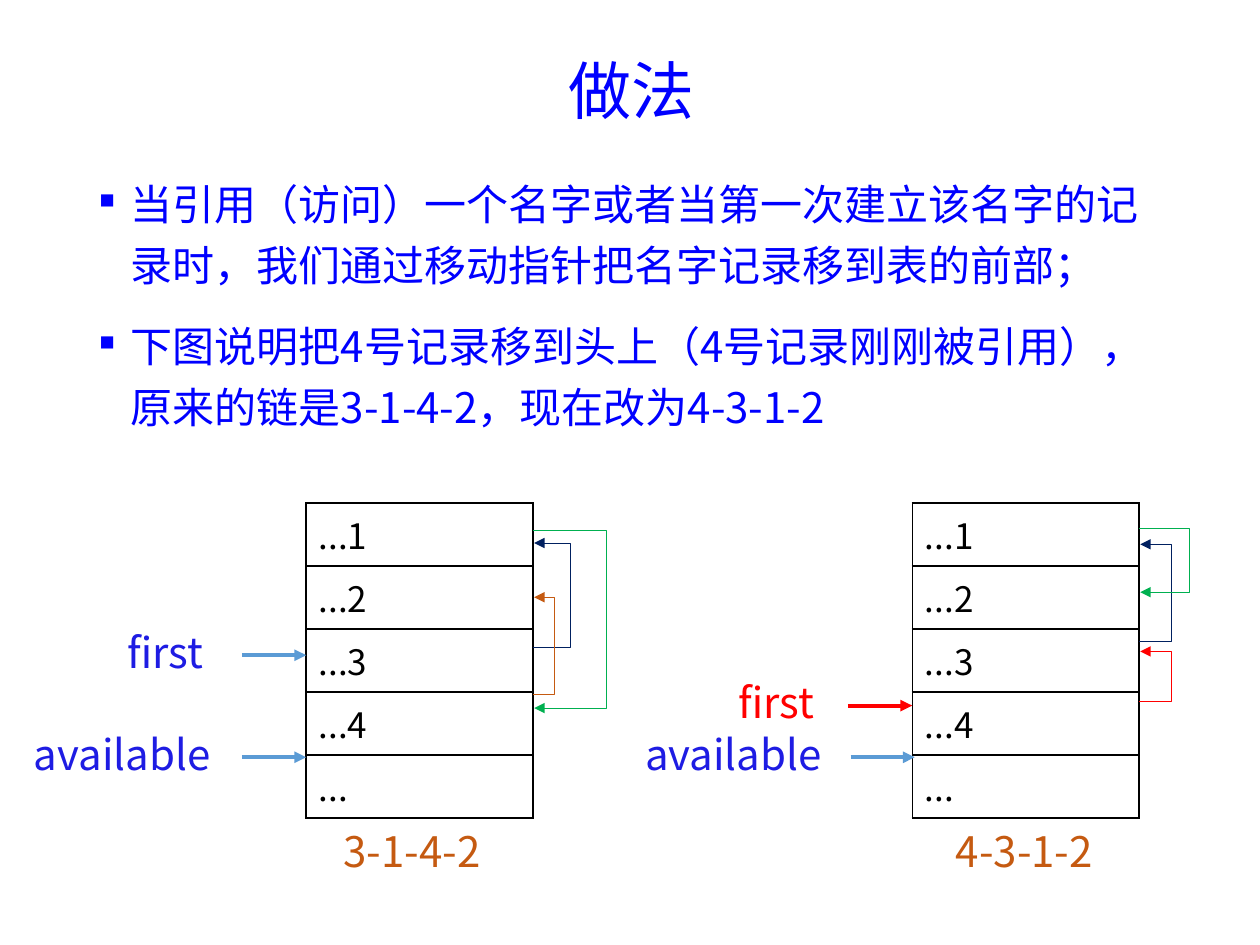
import pptx
import pptx.util
import pptx.dml.color
import pptx.enum.text
import pptx.enum.shapes
import pptx.oxml
import pptx.oxml.ns
from lxml import etree

Inches, Pt = pptx.util.Inches, pptx.util.Pt
RGBColor = pptx.dml.color.RGBColor
PP_ALIGN = pptx.enum.text.PP_ALIGN
MIDDLE = pptx.enum.text.MSO_ANCHOR.MIDDLE
qn = pptx.oxml.ns.qn

BLUE = RGBColor(0x00, 0x00, 0xFF)
LABEL_BLUE = RGBColor(0x1E, 0x1C, 0xE3)
ARROW_BLUE = RGBColor(0x5B, 0x9B, 0xD5)
NAVY = RGBColor(0x00, 0x20, 0x60)
ORANGE = RGBColor(0xC5, 0x5A, 0x11)
GREEN = RGBColor(0x00, 0xB0, 0x50)
RED = RGBColor(0xFF, 0x00, 0x00)
BLACK = RGBColor(0x00, 0x00, 0x00)
TITLE_FONT = "Noto Sans CJK JP"
FONT = "Noto Sans CJK SC"

# Content
TITLE = "做法"
BULLETS = [
    "当引用（访问）一个名字或者当第一次建立该名字的记录时，我们通过移动指针把名字记录移到表的前部；",
    "下图说明把4号记录移到头上（4号记录刚刚被引用），原来的链是3-1-4-2，现在改为4-3-1-2",
]
RECORDS = ["...1", "...2", "...3", "...4", "..."]
TABLE_TOP, TABLE_WIDTH, ROW_HEIGHT = 3.99, 1.8, 0.5
POINTER_LENGTH = 0.51

# Pointers: text, label centre x, y, tip x, label colour, arrow colour
# Links: start y, end y, reach right of the table, colour
DIAGRAMS = [
    {"left": 2.43, "chain": "3-1-4-2", "chain_center": 3.27,
     "pointers": [("first", 1.31, 5.2, 2.43, LABEL_BLUE, ARROW_BLUE),
                  ("available", 0.97, 6.01, 2.43, LABEL_BLUE, ARROW_BLUE)],
     "links": [(5.14, 4.31, 0.3, NAVY),
               (5.51, 4.74, 0.17, ORANGE),
               (4.21, 5.62, 0.58, GREEN)]},
    {"left": 7.24, "chain": "4-3-1-2", "chain_center": 8.13,
     "pointers": [("first", 6.16, 5.6, 7.24, RED, RED),
                  ("available", 5.82, 6.01, 7.26, LABEL_BLUE, ARROW_BLUE)],
     "links": [(5.57, 5.17, 0.26, RED),
               (5.09, 4.32, 0.26, NAVY),
               (4.19, 4.7, 0.4, GREEN)]},
]


def style_paragraph(para, size, color, font=FONT):
    para.font.size = Pt(size)
    para.font.color.rgb = color
    para.font.name = font
    east_asian = etree.SubElement(para.font._element if hasattr(para.font, "_element")
                                  else para.font._rPr, qn("a:ea"))
    east_asian.set("typeface", font)


def style_line(shape, color, width):
    shape.line.color.rgb = color
    shape.line.width = Pt(width)
    end = etree.SubElement(shape.line._get_or_add_ln(), qn("a:tailEnd"))
    end.set("type", "triangle")


def add_label(page, text, center, middle, color):
    width, height = 1.8, 0.5
    box = page.shapes.add_textbox(Inches(center - width / 2), Inches(middle - height / 2),
                                  Inches(width), Inches(height))
    box.text_frame.word_wrap = True
    box.text_frame.vertical_anchor = MIDDLE
    para = box.text_frame.paragraphs[0]
    para.text = text
    para.alignment = PP_ALIGN.CENTER
    style_paragraph(para, 24, color)


def add_pointer(page, text, center, y, tip, label_color, arrow_color):
    add_label(page, text, center, y - 0.03, label_color)
    arrow = page.shapes.add_connector(
        pptx.enum.shapes.MSO_CONNECTOR.STRAIGHT,
        Inches(tip - POINTER_LENGTH), Inches(y), Inches(tip), Inches(y))
    style_line(arrow, arrow_color, 2.25)
    etree.SubElement(arrow._element.spPr, qn("a:effectLst"))


def add_link(page, edge, start, end, reach, color):
    builder = page.shapes.build_freeform(Inches(edge), Inches(start), scale=1.0)
    builder.add_line_segments(
        [(Inches(edge + reach), Inches(start)), (Inches(edge + reach), Inches(end)),
         (Inches(edge + 0.01), Inches(end))], close=False)
    link = builder.convert_to_shape()
    link.fill.background()
    style_line(link, color, 0.5)
    link.shadow.inherit = False


def add_border(cell):
    properties = cell._tc.get_or_add_tcPr()
    for position, side in enumerate(("lnL", "lnR", "lnT", "lnB")):
        properties.insert(position, pptx.oxml.parse_xml(
            f'<a:{side} {pptx.oxml.ns.nsdecls("a")} w="12700"><a:solidFill>'
            f'<a:srgbClr val="{BLACK}"/></a:solidFill></a:{side}>'))


def add_record_table(page, left):
    table = page.shapes.add_table(
        len(RECORDS), 1, Inches(left), Inches(TABLE_TOP),
        Inches(TABLE_WIDTH), Inches(ROW_HEIGHT * len(RECORDS))).table
    table.first_row = False
    table.horz_banding = False
    for row, record in enumerate(RECORDS):
        cell = table.cell(row, 0)
        cell.text = record
        cell.fill.background()
        style_paragraph(cell.text_frame.paragraphs[0], 20, BLACK)
        add_border(cell)


def add_bullets(page):
    box = page.shapes.add_textbox(Inches(0.69), Inches(1.29), Inches(8.62), Inches(2.19))
    frame = box.text_frame
    frame.word_wrap = True
    for index, text in enumerate(BULLETS):
        para = frame.add_paragraph() if index else frame.paragraphs[0]
        para.text = text
        para.line_spacing = 1.2
        para.space_before = para.space_after = Pt(6)
        properties = para._p.get_or_add_pPr()
        properties.set("marL", str(Inches(0.25)))
        properties.set("indent", str(-Inches(0.25)))
        etree.SubElement(properties, qn("a:buSzPct")).set("val", "50000")
        etree.SubElement(properties, qn("a:buChar")).set("char", "■")
        style_paragraph(para, 24, BLUE)


def main():
    deck = pptx.Presentation()
    deck.slide_width, deck.slide_height = Inches(10), Inches(7.5)
    page = deck.slides.add_slide(deck.slide_layouts.get_by_name("Title Only"))

    # Title
    title = page.shapes.title
    title.left, title.top = Inches(0.7), Inches(0.27)
    title.width, title.height = Inches(8.62), Inches(0.96)
    title.text_frame.vertical_anchor = MIDDLE
    para = title.text_frame.paragraphs[0]
    para.text = TITLE
    para.alignment = PP_ALIGN.CENTER
    para.line_spacing = 0.9
    style_paragraph(para, 36, BLUE, TITLE_FONT)

    add_bullets(page)

    # Linked tables before and after the move
    for diagram in DIAGRAMS:
        add_record_table(page, diagram["left"])
        for pointer in diagram["pointers"]:
            add_pointer(page, *pointer)
        for link in diagram["links"]:
            add_link(page, diagram["left"] + TABLE_WIDTH, *link)
        add_label(page, diagram["chain"], diagram["chain_center"], 6.75, ORANGE)

    deck.save("out.pptx")


if __name__ == "__main__":
    main()
